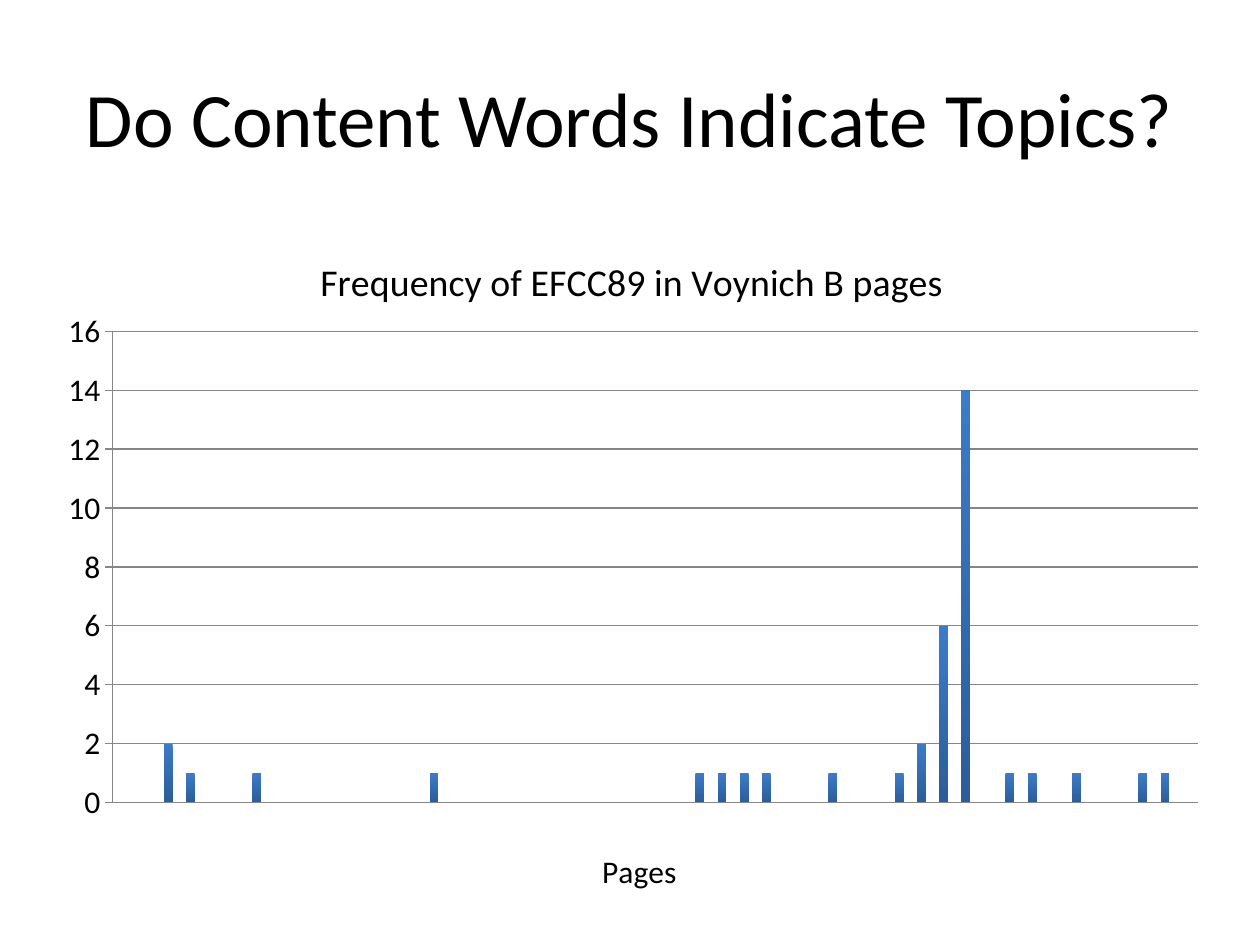
"""Build a slide with a column chart of word frequency by page."""
from dataclasses import dataclass
from typing import Any

from lxml.etree import SubElement
from pptx import Presentation
from pptx.chart.data import CategoryChartData
from pptx.dml.color import RGBColor
from pptx.enum.chart import XL_CHART_TYPE, XL_TICK_MARK
from pptx.enum.text import MSO_ANCHOR, PP_ALIGN
from pptx.oxml.ns import qn
from pptx.util import Pt

PX = 9525
FONT = "Calibri"
COLORS = {"text": "000000", "line": "868686", "bar_top": "3C7BC7", "bar_base": "2C5D98"}
PAGE_COUNT = 49
FREQUENCIES = {
    3: 2, 4: 1, 7: 1, 15: 1, 27: 1, 28: 1, 29: 1, 30: 1, 33: 1, 36: 1,
    37: 2, 38: 6, 39: 14, 41: 1, 42: 1, 44: 1, 47: 1, 48: 1,
}


@dataclass(frozen=True)
class Box:
    left: int
    top: int
    width: int
    height: int

    def emu(self) -> list[int]:
        return [side * PX for side in (self.left, self.top, self.width, self.height)]


@dataclass(frozen=True)
class ChartLabel:
    text: str
    size: float
    x: float
    y: float


TITLE_BOX = Box(48, 29, 864, 120)
CHART_BOX = Box(32, 168, 899, 528)
CHART_TITLE = ChartLabel("Frequency of EFCC89 in Voynich B pages", 21.6, 0.23, 0.04)
AXIS_TITLE = ChartLabel("Pages", 18, 0.47, 0.9)
PLOT_LAYOUT = {
    "layoutTarget": "inner", "xMode": "edge", "yMode": "edge",
    "x": 0.06, "y": 0.16, "w": 0.92, "h": 0.68,
}


def set_values(target: Any, values: dict[str, Any]) -> None:
    for name, value in values.items():
        setattr(target, name, value)


def color(name: str) -> RGBColor:
    return RGBColor.from_string(COLORS[name])


def format_font(font: Any, size: float) -> None:
    set_values(font, {"name": FONT, "size": Pt(size), "bold": False})
    font.color.rgb = color("text")


def place(element: Any, index: int, values: dict[str, Any]) -> None:
    for old in element.findall(qn("c:layout")):
        element.remove(old)
    layout = SubElement(element, qn("c:layout"))
    manual = SubElement(layout, qn("c:manualLayout"))
    for name, value in values.items():
        SubElement(manual, qn(f"c:{name}")).set("val", str(value))
    element.insert(index, layout)


def write_label(title: Any, label: ChartLabel) -> None:
    para = title.text_frame.paragraphs[0]
    span = para.add_run()
    span.text = label.text
    format_font(span.font, label.size)
    place(title._element, 1, {"xMode": "edge", "yMode": "edge", "x": label.x, "y": label.y})


def format_line(line: Any) -> None:
    line.width = Pt(0.75)
    line.color.rgb = color("line")


def add_title(page: Any, text: str) -> None:
    title = page.shapes.title
    left, top, width, height = TITLE_BOX.emu()
    set_values(title, {"left": left, "top": top, "width": width, "height": height})
    set_values(title.text_frame, {"text": text, "vertical_anchor": MSO_ANCHOR.MIDDLE})
    para = title.text_frame.paragraphs[0]
    para.alignment = PP_ALIGN.CENTER
    format_font(para.runs[0].font, 44)


def add_frequency_chart(page: Any) -> None:
    numbers = range(1, PAGE_COUNT + 1)
    data = CategoryChartData()
    data.categories = [str(number) for number in numbers]
    data.add_series("Series 1", [FREQUENCIES.get(number, 0) for number in numbers])
    chart = page.shapes.add_chart(XL_CHART_TYPE.COLUMN_CLUSTERED, *CHART_BOX.emu(), data).chart
    set_values(chart, {"has_legend": False, "has_title": True})
    format_font(chart.font, 18)
    write_label(chart.chart_title, CHART_TITLE)
    place(chart._chartSpace.chart.plotArea, 0, PLOT_LAYOUT)

    pages = chart.category_axis
    set_values(pages, {"has_title": True, "visible": False})
    write_label(pages.axis_title, AXIS_TITLE)

    scale = chart.value_axis
    set_values(scale, {
        "minimum_scale": 0, "maximum_scale": 16, "major_unit": 2,
        "has_major_gridlines": True, "major_tick_mark": XL_TICK_MARK.OUTSIDE,
    })
    format_line(scale.format.line)
    format_line(scale.major_gridlines.format.line)

    plot = chart.plots[0]
    set_values(plot, {"gap_width": 150, "vary_by_categories": False})
    fill = plot.series[0].format.fill
    fill.gradient()
    fill.gradient_angle = 270
    for stop, name in zip(fill.gradient_stops, ("bar_top", "bar_base")):
        stop.color.rgb = color(name)


def main() -> None:
    deck = Presentation()
    set_values(deck, {"slide_width": 960 * PX, "slide_height": 720 * PX})
    page = deck.slides.add_slide(deck.slide_layouts[5])
    add_title(page, "Do Content Words Indicate Topics?")
    add_frequency_chart(page)
    deck.save("out.pptx")


if __name__ == "__main__":
    main()
